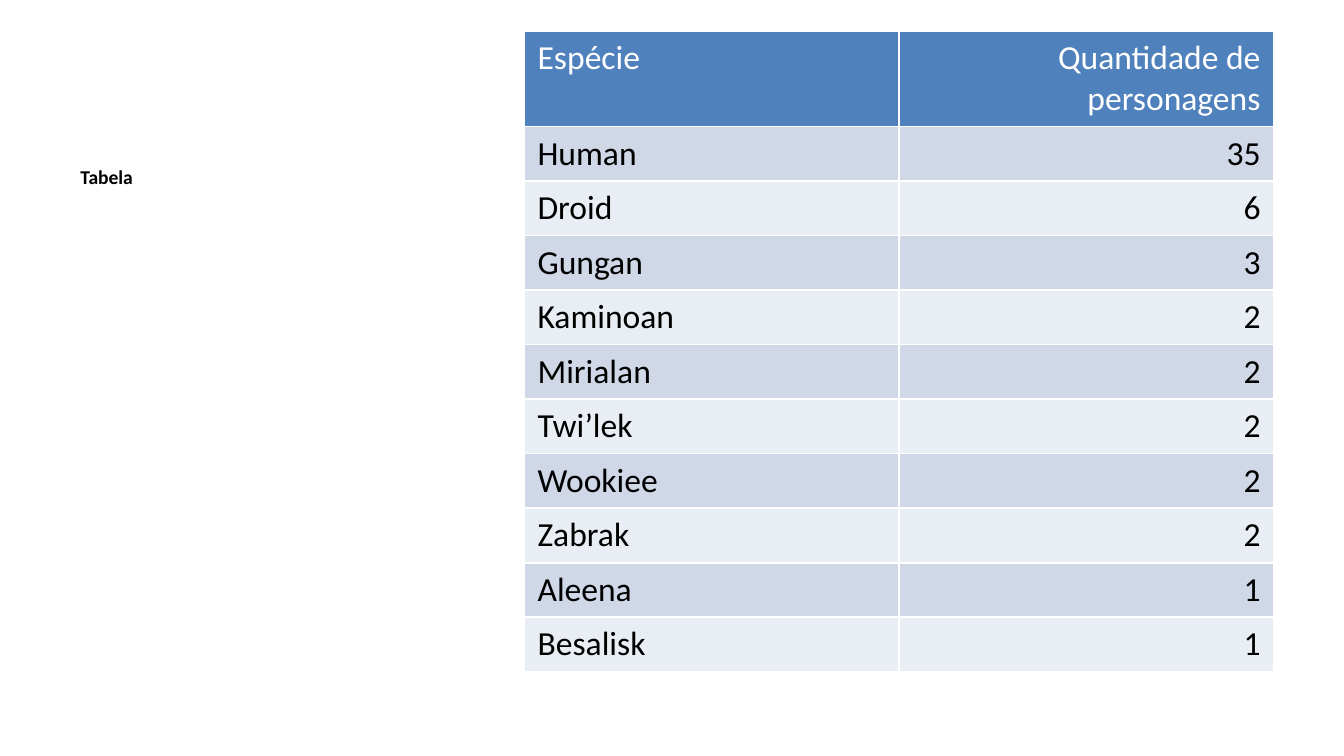
"""Build a slide with a table of species and their character counts."""
from pptx import Presentation, util as u
from pptx.dml.color import RGBColor
from pptx.enum import text

HEADER = ("Espécie", "Quantidade de personagens")
SPECIES = [
    ("Human", 35), ("Droid", 6), ("Gungan", 3), ("Kaminoan", 2), ("Mirialan", 2),
    ("Twi’lek", 2), ("Wookiee", 2), ("Zabrak", 2), ("Aleena", 1), ("Besalisk", 1),
]
BLUE, BANDS = "4F81BD", ("D0D8E8", "E9EDF4")
WHITE, BLACK = "FFFFFF", "000000"
COL_W, TABLE_H, HEADER_H = 2.79, 4.77, 0.71
ROW_H = (TABLE_H - HEADER_H) / len(SPECIES)


def rgb(value):
    return RGBColor.from_string(value)


def write(tf, words, size, color, bold=False, align=text.PP_ALIGN.LEFT):
    tf.text = words
    p = tf.paragraphs[0]
    p.alignment = align
    font = p.runs[0].font
    font.name, font.size, font.bold = "Calibri", u.Pt(size), bold
    font.color.rgb = rgb(color)


prs = Presentation()
prs.slide_width = u.Inches(10)
prs.slide_height = prs.slide_width * 9 // 16
s = prs.slides.add_slide(prs.slide_layouts[6])

caption = s.shapes.add_textbox(u.Inches(0.5), u.Inches(1.18), u.Inches(3.29), u.Inches(3.85))
caption.text_frame.word_wrap = True
write(caption.text_frame, "Tabela", 10.5, BLACK, bold=True)

rows = [HEADER] + SPECIES
table = s.shapes.add_table(len(rows), len(HEADER), u.Inches(3.9), u.Inches(0.23),
                           u.Inches(COL_W * len(HEADER)), u.Inches(TABLE_H)).table
for col in table.columns:
    col.width = u.Inches(COL_W)
for i, row in enumerate(rows):
    table.rows[i].height = u.Inches(ROW_H if i else HEADER_H)
    for j, value in enumerate(row):
        cell = table.cell(i, j)
        cell.fill.solid()
        cell.fill.fore_color.rgb = rgb(BANDS[(i - 1) % 2] if i else BLUE)
        write(cell.text_frame, str(value), 18, BLACK if i else WHITE,
              align=text.PP_ALIGN.RIGHT if j else text.PP_ALIGN.LEFT)

prs.save("out.pptx")
